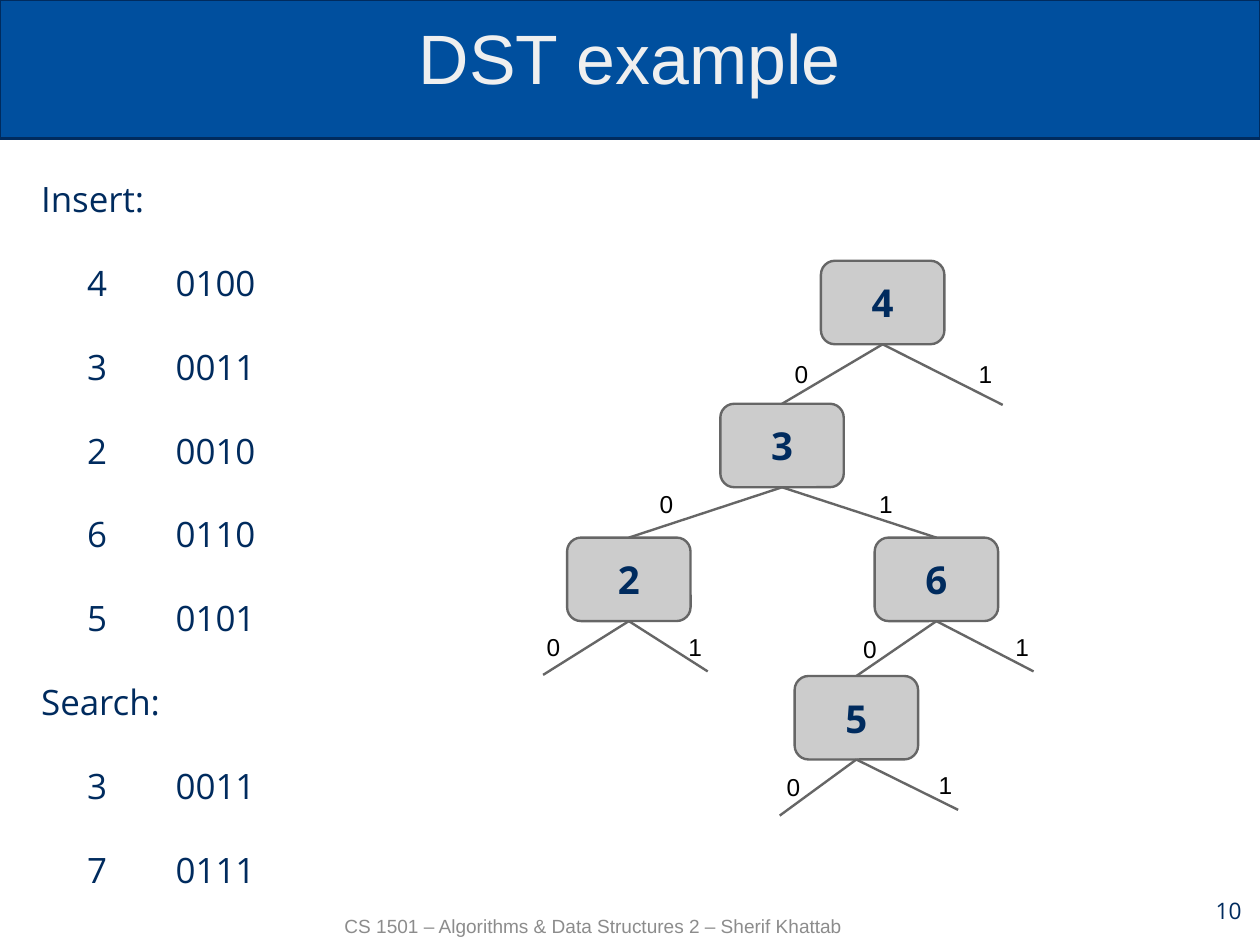
from lxml import etree
from pptx import Presentation
from pptx.dml.color import RGBColor
from pptx.enum.shapes import MSO_CONNECTOR, MSO_SHAPE
from pptx.enum.text import MSO_ANCHOR, MSO_AUTO_SIZE, PP_ALIGN
from pptx.oxml.ns import qn
from pptx.util import Inches, Pt

RECT, ROUNDED = MSO_SHAPE.RECTANGLE, MSO_SHAPE.ROUNDED_RECTANGLE
STRAIGHT = MSO_CONNECTOR.STRAIGHT
TOP, MIDDLE, BOTTOM = MSO_ANCHOR.TOP, MSO_ANCHOR.MIDDLE, MSO_ANCHOR.BOTTOM
LEFT, CENTER, RIGHT = PP_ALIGN.LEFT, PP_ALIGN.CENTER, PP_ALIGN.RIGHT
NO_AUTOFIT = MSO_AUTO_SIZE.NONE

NAVY = RGBColor(0x00, 0x2B, 0x5E)
BLUE = RGBColor(0x00, 0x4F, 0x9E)
PALE = RGBColor(0xEF, 0xEF, 0xEF)
NODE_GRAY = RGBColor(0xCC, 0xCC, 0xCC)
EDGE_GRAY = RGBColor(0x66, 0x66, 0x66)
FOOTER_GRAY = RGBColor(0x8C, 0x8C, 0x8C)
BLACK = RGBColor(0x00, 0x00, 0x00)
ARIAL, OPEN_SANS = "Arial", "Open Sans"

SLIDE_W, SLIDE_H = 11.02, 8.27
NODE_W, NODE_H = 1.08, 0.73
LIST_TOP, ROW_PITCH = 1.26, 0.733

# Each row is a heading or a key with its bits
ROWS = ["Insert:", ("4", "0100"), ("3", "0011"), ("2", "0010"),
        ("6", "0110"), ("5", "0101"),
        "Search:", ("3", "0011"), ("7", "0111")]

# Key: left and top of its node
NODES = {"4": (7.18, 2.28), "3": (6.3, 3.53), "2": (4.96, 4.7),
         "6": (7.65, 4.7), "5": (6.95, 5.91)}

# Parent, bit, child key or loose end, left and top of the bit label
EDGES = [
    ("4", "0", "3", (6.84, 3.14)), ("4", "1", (8.77, 3.54), (8.45, 3.14)),
    ("3", "0", "2", (5.66, 4.27)), ("3", "1", "6", (7.58, 4.27)),
    ("2", "0", (4.75, 5.9), (4.67, 5.52)),
    ("2", "1", (6.19, 5.87), (5.91, 5.52)),
    ("6", "0", "5", (7.44, 5.54)), ("6", "1", (9.04, 5.87), (8.77, 5.52)),
    ("5", "0", (6.82, 7.13), (6.77, 6.75)),
    ("5", "1", (8.38, 7.08), (8.1, 6.73)),
]


def set_text(sp, text, size, font, color, align=LEFT, anchor=TOP,
             bold=False, spacing=None, inset=0.11):
    tf = sp.text_frame
    tf.text = text
    tf.word_wrap = True
    tf.auto_size = NO_AUTOFIT
    tf.vertical_anchor = anchor
    if inset is not None:
        tf.margin_left = tf.margin_right = Inches(inset)
        tf.margin_top = tf.margin_bottom = Inches(inset)
    p = tf.paragraphs[0]
    p.alignment = align
    if spacing:
        p.line_spacing = spacing
    f = p.runs[0].font
    f.size, f.name, f.bold = Pt(size), font, bold
    f.color.rgb = color


def add_text(s, x, y, w, h, text, size, font, color, **options):
    sp = s.shapes.add_textbox(Inches(x), Inches(y), Inches(w), Inches(h))
    set_text(sp, text, size, font, color, **options)


def add_box(s, kind, x, y, w, h, fill, line):
    sp = s.shapes.add_shape(kind, Inches(x), Inches(y), Inches(w), Inches(h))
    sp.shadow.inherit = False
    sp.fill.solid()
    sp.fill.fore_color.rgb = fill
    sp.line.color.rgb = line
    sp.line.width = Pt(1.5)
    return sp


def add_title(s):
    band = add_box(s, RECT, 0, 0, SLIDE_W, 1.21, BLUE, NAVY)
    s.shapes._spTree.insert(2, band._element)  # band goes behind the title
    title = s.shapes.title
    title.left, title.top = Inches(0.55), Inches(0.24)
    title.width, title.height = Inches(9.92), Inches(0.73)
    set_text(title, "DST example", 44, ARIAL, PALE,
             align=CENTER, anchor=BOTTOM)


def add_list_item(s, x, y, w, text, align=CENTER):
    add_text(s, x, y, w, 0.73, text, 22, OPEN_SANS, NAVY,
             align=align, spacing=1.5)


def add_key_list(s):
    for i, row in enumerate(ROWS):
        y = LIST_TOP + i * ROW_PITCH
        if isinstance(row, str):
            add_list_item(s, 0.25, y, 1.61, row, LEFT)
        else:
            key, bits = row
            add_list_item(s, 0.54, y, 0.62, key)
            add_list_item(s, 1.28, y, 1.21, bits)


def add_node(s, key, x, y):
    sp = add_box(s, ROUNDED, x, y, NODE_W, NODE_H, NODE_GRAY, EDGE_GRAY)
    set_text(sp, key, 24.2, OPEN_SANS, NAVY,
             align=CENTER, anchor=MIDDLE, bold=True)
    return sp


def add_edge(s, parent, child, end):
    x, y = end
    edge = s.shapes.add_connector(STRAIGHT, 0, 0, Inches(x), Inches(y))
    edge.begin_connect(parent, 2)
    if child is not None:
        edge.end_connect(child, 0)
    edge.line.color.rgb = EDGE_GRAY
    edge.line.width = Pt(1.5)
    etree.SubElement(edge._element.spPr, qn("a:effectLst"))


def add_tree(s):
    nodes = {key: add_node(s, key, x, y) for key, (x, y) in NODES.items()}
    for parent, bit, target, (x, y) in EDGES:
        child = nodes.get(target)
        end = NODES.get(target, target)
        add_edge(s, nodes[parent], child, end)
        add_text(s, x, y, 0.52, 0.26, bit, 15.4, ARIAL, BLACK, anchor=MIDDLE)


def add_footer(s):
    add_text(s, 10.31, 7.64, 0.66, 0.63, "10", 14.3, OPEN_SANS, NAVY,
             align=RIGHT, anchor=MIDDLE)
    add_text(s, 2.68, 7.9, 5.02, 0.44,
             "CS 1501 – Algorithms & Data Structures 2 – Sherif Khattab",
             12, ARIAL, FOOTER_GRAY, align=CENTER, anchor=MIDDLE,
             spacing=0.69, inset=None)


def main():
    prs = Presentation()
    prs.slide_width, prs.slide_height = Inches(SLIDE_W), Inches(SLIDE_H)
    s = prs.slides.add_slide(prs.slide_layouts[5])
    add_title(s)
    add_key_list(s)
    add_tree(s)
    add_footer(s)
    prs.save("out.pptx")


if __name__ == "__main__":
    main()
